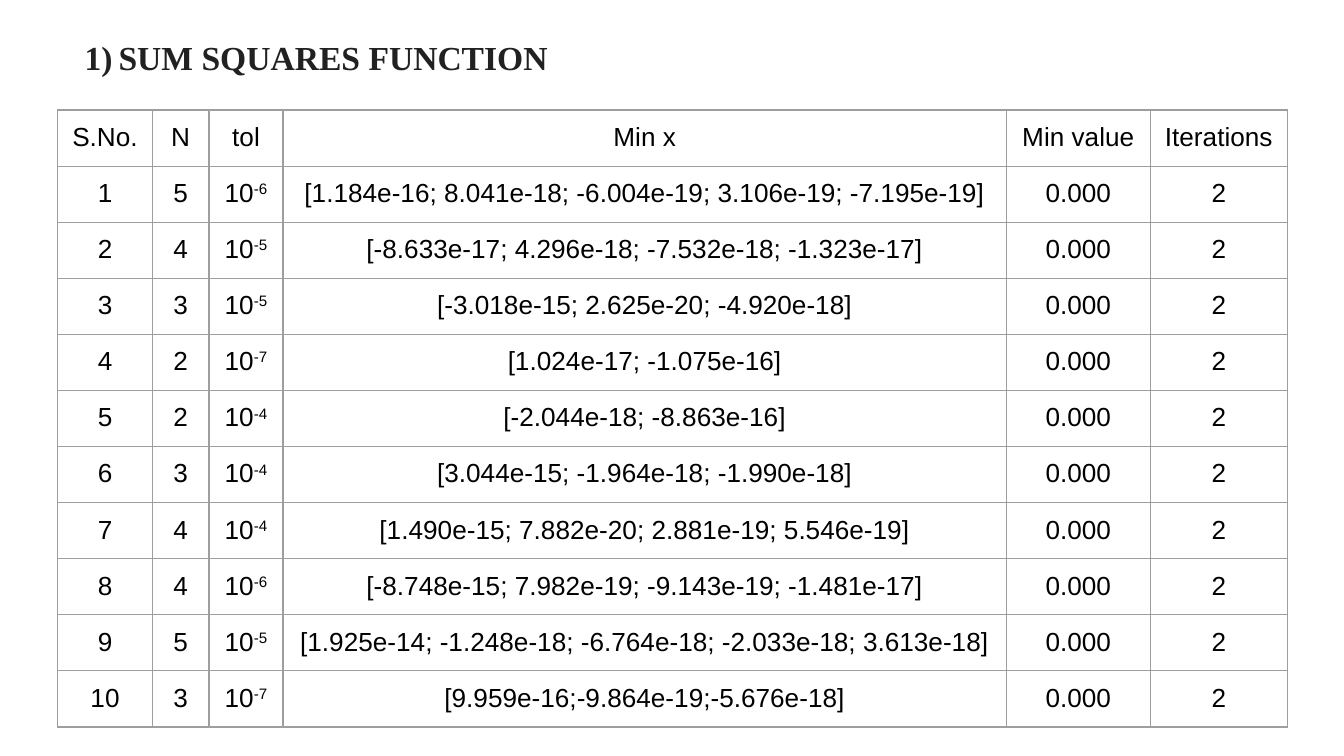
import pptx
import pptx.util
import pptx.dml.color
import pptx.enum.text
import pptx.oxml
import pptx.oxml.ns
import lxml.etree
from dataclasses import dataclass

Cm, Pt = pptx.util.Cm, pptx.util.Pt
ALIGN = pptx.enum.text.PP_ALIGN
ANCHOR = pptx.enum.text.MSO_ANCHOR


@dataclass(frozen=True)
class Theme:
    title_font: str = "Times New Roman"
    body_font: str = "Arial"
    title_size: float = 18
    body_size: float = 14
    border_width: float = 0.75
    title: str = "212121"
    text: str = "000000"
    border: str = "9E9E9E"


THEME = Theme()
TITLE_FONT = dict(name=THEME.title_font, size=Pt(THEME.title_size), bold=True)
BODY_FONT = dict(name=THEME.body_font, size=Pt(THEME.body_size), bold=False)

HEADER = ["S.No.", "N", "tol", "Min x", "Min value", "Iterations"]
COLUMN_WIDTHS = [1.79, 1.07, 1.4, 13.67, 2.72, 2.59]
ROW_HEIGHT = 1.06
# Tolerance exponent and minimiser; N is the number of components
RUNS = [
    ("-6", "[1.184e-16; 8.041e-18; -6.004e-19; 3.106e-19; -7.195e-19]"),
    ("-5", "[-8.633e-17; 4.296e-18; -7.532e-18; -1.323e-17]"),
    ("-5", "[-3.018e-15; 2.625e-20; -4.920e-18]"),
    ("-7", "[1.024e-17; -1.075e-16]"),
    ("-4", "[-2.044e-18; -8.863e-16]"),
    ("-4", "[3.044e-15; -1.964e-18; -1.990e-18]"),
    ("-4", "[1.490e-15; 7.882e-20; 2.881e-19; 5.546e-19]"),
    ("-6", "[-8.748e-15; 7.982e-19; -9.143e-19; -1.481e-17]"),
    ("-5", "[1.925e-14; -1.248e-18; -6.764e-18; -2.033e-18; 3.613e-18]"),
    ("-7", "[9.959e-16;-9.864e-19;-5.676e-18]"),
]


def set_attrs(obj, values):
    for name, value in values.items():
        setattr(obj, name, value)


def add_run(p, text, font, color):
    r = p.add_run()
    r.text = text
    set_attrs(r.font, font)
    r.font.color.rgb = pptx.dml.color.RGBColor.from_string(color)
    return r


def add_child(parent, tag, **attrs):
    child = lxml.etree.SubElement(parent, pptx.oxml.ns.qn(tag))
    for name, value in attrs.items():
        child.set(name, value)
    return child


def set_borders(cell):
    tcPr = cell._tc.get_or_add_tcPr()
    for i, side in enumerate("LRTB"):
        ln = add_child(tcPr, f"a:ln{side}", w=str(Pt(THEME.border_width)))
        add_child(add_child(ln, "a:solidFill"), "a:srgbClr", val=THEME.border)
        tcPr.insert(i, ln)


def place_title(slide, left, top, width, height):
    """Numbered heading in the title placeholder."""
    sp = slide.shapes.title
    set_attrs(sp, dict(left=Cm(left), top=Cm(top), width=Cm(width), height=Cm(height)))
    tf = sp.text_frame
    set_attrs(tf, dict(word_wrap=True, vertical_anchor=ANCHOR.TOP,
                       auto_size=pptx.enum.text.MSO_AUTO_SIZE.NONE))
    set_attrs(tf, {f"margin_{s}": Cm(0.25) for s in ("left", "right", "top", "bottom")})
    p = tf.paragraphs[0]
    set_attrs(p, dict(alignment=ALIGN.LEFT, line_spacing=1.15))
    add_run(p, "SUM SQUARES FUNCTION", TITLE_FONT, THEME.title)
    # Automatic number with hanging indent
    pPr = p._p.get_or_add_pPr()
    pPr.set("marL", str(Cm(1.12)))
    pPr.set("indent", str(Cm(-0.64)))
    add_child(add_child(pPr, "a:buClr"), "a:srgbClr", val=THEME.title)
    add_child(pPr, "a:buFont", typeface=THEME.title_font)
    add_child(pPr, "a:buAutoNum", type="arabicParenR")


def fill_cell(cell, text, exponent=""):
    set_attrs(cell, dict(margin_left=Cm(0.25), margin_right=Cm(0.25),
                         margin_top=Cm(0.24), margin_bottom=Cm(0.24),
                         vertical_anchor=ANCHOR.TOP))
    cell.fill.background()
    set_borders(cell)
    p = cell.text_frame.paragraphs[0]
    p.alignment = ALIGN.CENTER
    add_run(p, text, BODY_FONT, THEME.text)
    if exponent:
        r = add_run(p, exponent, BODY_FONT, THEME.text)
        r._r.get_or_add_rPr().set("baseline", "30000")


def place_results(slide, left, top):
    """Table of optimisation runs."""
    rows = [[(text,) for text in HEADER]]
    for number, (exponent, minimiser) in enumerate(RUNS, 1):
        size = minimiser.count(";") + 1
        rows.append([(str(number),), (str(size),), ("10", exponent),
                     (minimiser,), ("0.000",), ("2",)])
    frame = slide.shapes.add_table(len(rows), len(HEADER), Cm(left), Cm(top),
                                   Cm(sum(COLUMN_WIDTHS)), Cm(ROW_HEIGHT * len(rows)))
    table = frame.table
    set_attrs(table, dict(first_row=False, horz_banding=False))
    for column, width in zip(table.columns, COLUMN_WIDTHS):
        column.width = Cm(width)
    for i, row in enumerate(rows):
        table.rows[i].height = Cm(ROW_HEIGHT)
        for j, content in enumerate(row):
            fill_cell(table.cell(i, j), *content)


prs = pptx.Presentation()
set_attrs(prs, dict(slide_width=Cm(25.4), slide_height=Cm(14.29)))
slide = prs.slides.add_slide(prs.slide_layouts[5])
place_title(slide, 0.87, 0.34, 23.67, 1.5)
place_results(slide, 1.09, 2.08)
prs.save("out.pptx")
